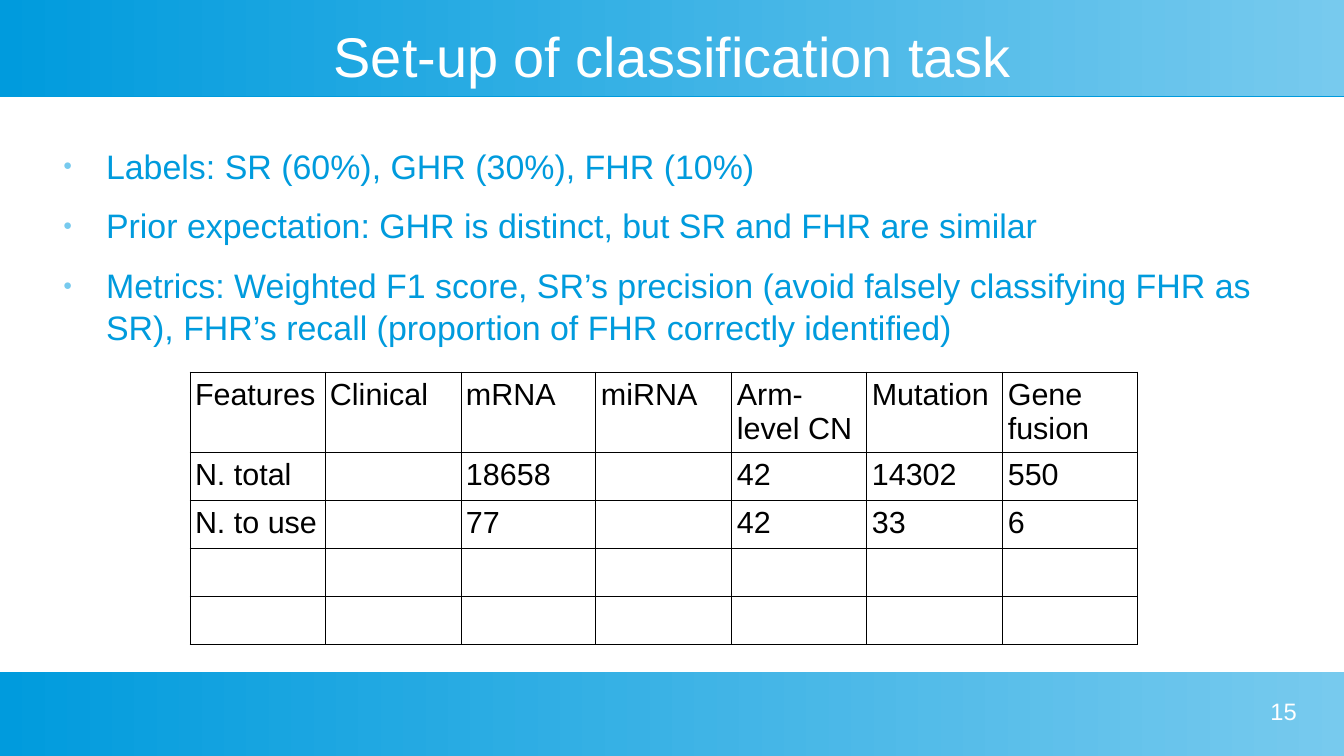
"""Builds the slide on the set-up of the classification task."""
import dataclasses

import pptx
import pptx.dml.color
import pptx.enum.shapes
import pptx.enum.text
import pptx.oxml.ns
import pptx.util
from lxml import etree

TITLE = "Set-up of classification task"
POINTS = [
    "Labels: SR (60%), GHR (30%), FHR (10%)",
    "Prior expectation: GHR is distinct, but SR and FHR are similar",
    "Metrics: Weighted F1 score, SR’s precision (avoid falsely classifying FHR as SR), "
    "FHR’s recall (proportion of FHR correctly identified)",
]
FEATURES = [
    ["Features", "Clinical", "mRNA", "miRNA", "Arm-level CN", "Mutation", "Gene fusion"],
    ["N. total", "", "18658", "", "42", "14302", "550"],
    ["N. to use", "", "77", "", "42", "33", "6"],
    [""] * 7,
    [""] * 7,
]
PAGE_NUMBER = "15"

PAGE_WIDTH, PAGE_HEIGHT = 1344, 756
HEADER_HEIGHT, FOOTER_TOP = 96, 672
TITLE_BOX = (48, 24, 1249, 63)
BODY_BOX = (48, 144, 1249, 192)
NUMBER_BOX = (985, 697, 312, 48)
TABLE_LEFT, TABLE_TOP, TABLE_WIDTH = 190, 372, 948
HEAD_ROW, OTHER_ROWS = 80, 186
TEXT_INDENT, BULLET_INDENT = 58, -43


@dataclasses.dataclass(frozen=True)
class Theme:
    font: str = "Arial"
    blue: str = "009BDD"
    sky: str = "77CAEE"
    white: str = "FFFFFF"
    black: str = "000000"
    title_size: int = 33
    body_size: int = 20
    table_size: int = 18
    number_size: int = 14
    border: float = 0.57


THEME = Theme()
ALIGN = pptx.enum.text.PP_ALIGN


def px(count):
    return pptx.util.Emu(round(count * 914400 / 122))


def rgb(value):
    return pptx.dml.color.RGBColor.from_string(value)


def add_xml(parent, tag, **attributes):
    return etree.SubElement(parent, pptx.oxml.ns.qn(tag), attributes)


def add_color(parent, value):
    add_xml(parent, "a:srgbClr", val=value)


def format_runs(para, size, color):
    for span in para.runs:
        span.font.name = THEME.font
        span.font.size = pptx.util.Pt(size)
        span.font.color.rgb = rgb(color)


def place(shape, box):
    shape.left, shape.top, shape.width, shape.height = map(px, box)
    frame = shape.text_frame
    frame.word_wrap = True
    frame.auto_size = pptx.enum.text.MSO_AUTO_SIZE.NONE
    frame.margin_left = frame.margin_right = frame.margin_top = frame.margin_bottom = 0
    return frame


def add_band(page, top, height):
    band = page.shapes.add_shape(
        pptx.enum.shapes.MSO_SHAPE.RECTANGLE, 0, px(top), px(PAGE_WIDTH), px(height))
    band.shadow.inherit = False
    band.line.fill.background()
    page.shapes.title._element.addprevious(band._element)
    return band


def add_bands(page):
    edge = add_band(page, 0, HEADER_HEIGHT + 1)
    edge.fill.solid()
    edge.fill.fore_color.rgb = rgb(THEME.blue)
    for top, height in ((0, HEADER_HEIGHT), (FOOTER_TOP, PAGE_HEIGHT - FOOTER_TOP)):
        fill = add_band(page, top, height).fill
        fill.gradient()
        fill.gradient_angle = 0
        for stop, color in zip(fill.gradient_stops, (THEME.blue, THEME.sky)):
            stop.color.rgb = rgb(color)


def add_line(page_shape, box, text, size, align):
    frame = place(page_shape, box)
    frame.text = text
    frame.paragraphs[0].alignment = align
    format_runs(frame.paragraphs[0], size, THEME.white)
    return frame


def add_points(holder):
    frame = place(holder, BODY_BOX)
    frame.vertical_anchor = pptx.enum.text.MSO_ANCHOR.TOP
    for index, point in enumerate(POINTS):
        para = frame.add_paragraph() if index else frame.paragraphs[0]
        para.text = point
        para.line_spacing = 1.03
        para.space_before = pptx.util.Pt(10.6 if index else 0)
        properties = para._p.get_or_add_pPr()
        properties.set("marL", str(px(TEXT_INDENT)))
        properties.set("indent", str(px(BULLET_INDENT)))
        add_color(add_xml(properties, "a:buClr"), THEME.sky)
        add_xml(properties, "a:buSzPct", val="45000")
        add_xml(properties, "a:buFont", typeface=THEME.font)
        add_xml(properties, "a:buChar", char="●")
        format_runs(para, THEME.body_size, THEME.blue)


def format_cell(cell, text):
    cell.margin_left = cell.margin_right = px(5)
    cell.margin_top, cell.margin_bottom = px(6), px(5)
    properties = cell._tc.get_or_add_tcPr()
    for side in ("a:lnL", "a:lnR", "a:lnT", "a:lnB"):
        line = add_xml(properties, side, w=str(pptx.util.Pt(THEME.border)))
        add_color(add_xml(line, "a:solidFill"), THEME.black)
    cell.fill.background()
    if text:
        cell.text = text
        format_runs(cell.text_frame.paragraphs[0], THEME.table_size, THEME.black)


def spread(total, count):
    edges = [round(total * index / count) for index in range(count + 1)]
    return [end - start for start, end in zip(edges, edges[1:])]


def add_features(page):
    rows, columns = len(FEATURES), len(FEATURES[0])
    table = page.shapes.add_table(
        rows, columns, px(TABLE_LEFT), px(TABLE_TOP),
        px(TABLE_WIDTH), px(HEAD_ROW + OTHER_ROWS)).table
    table.first_row = table.horz_banding = False
    for column, width in zip(table.columns, spread(TABLE_WIDTH, columns)):
        column.width = px(width)
    for row, height in zip(table.rows, [HEAD_ROW] + spread(OTHER_ROWS, rows - 1)):
        row.height = px(height)
    for row, texts in zip(table.rows, FEATURES):
        for cell, text in zip(row.cells, texts):
            format_cell(cell, text)


def main():
    deck = pptx.Presentation()
    deck.slide_width, deck.slide_height = px(PAGE_WIDTH), px(PAGE_HEIGHT)
    page = deck.slides.add_slide(deck.slide_layouts[1])
    add_bands(page)
    title = add_line(page.shapes.title, TITLE_BOX, TITLE, THEME.title_size, ALIGN.CENTER)
    title.vertical_anchor = pptx.enum.text.MSO_ANCHOR.MIDDLE
    add_points(page.placeholders[1])
    add_features(page)
    number = page.shapes.add_textbox(*map(px, NUMBER_BOX))
    add_line(number, NUMBER_BOX, PAGE_NUMBER, THEME.number_size, ALIGN.RIGHT)
    deck.save("out.pptx")


if __name__ == "__main__":
    main()
